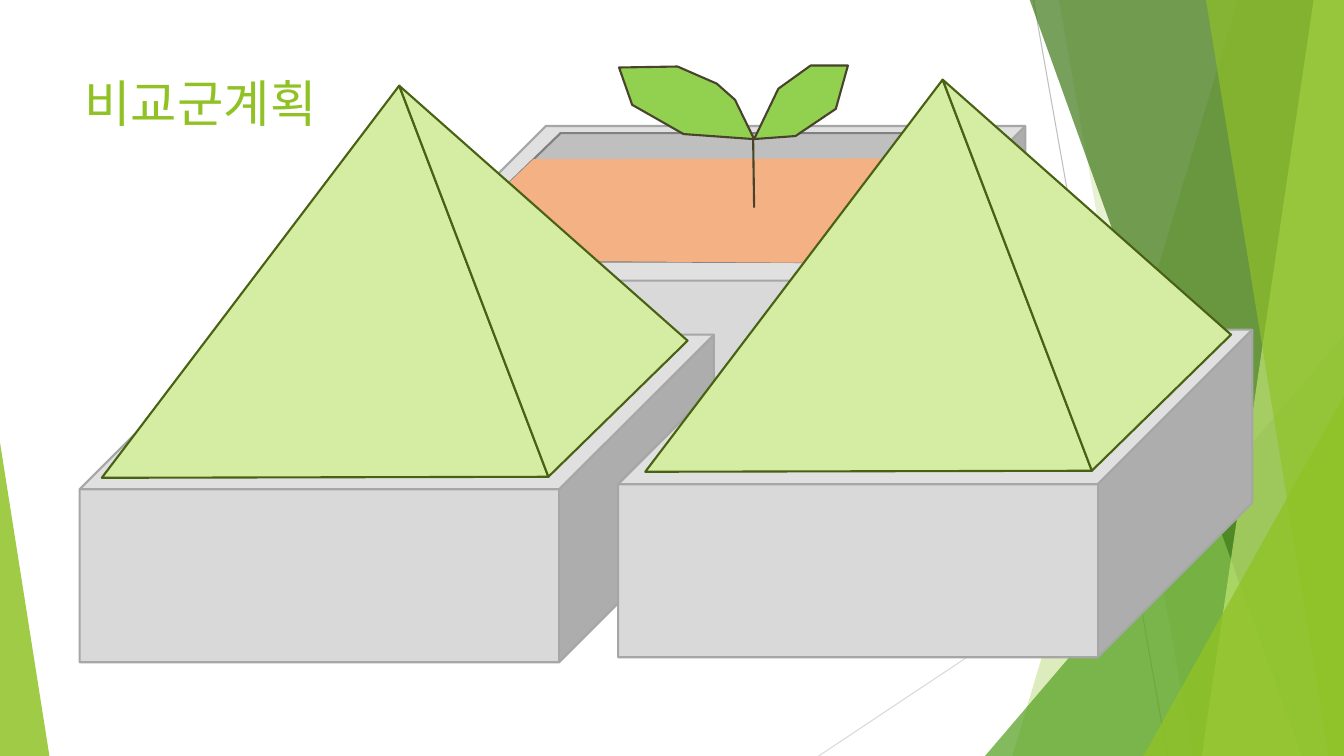
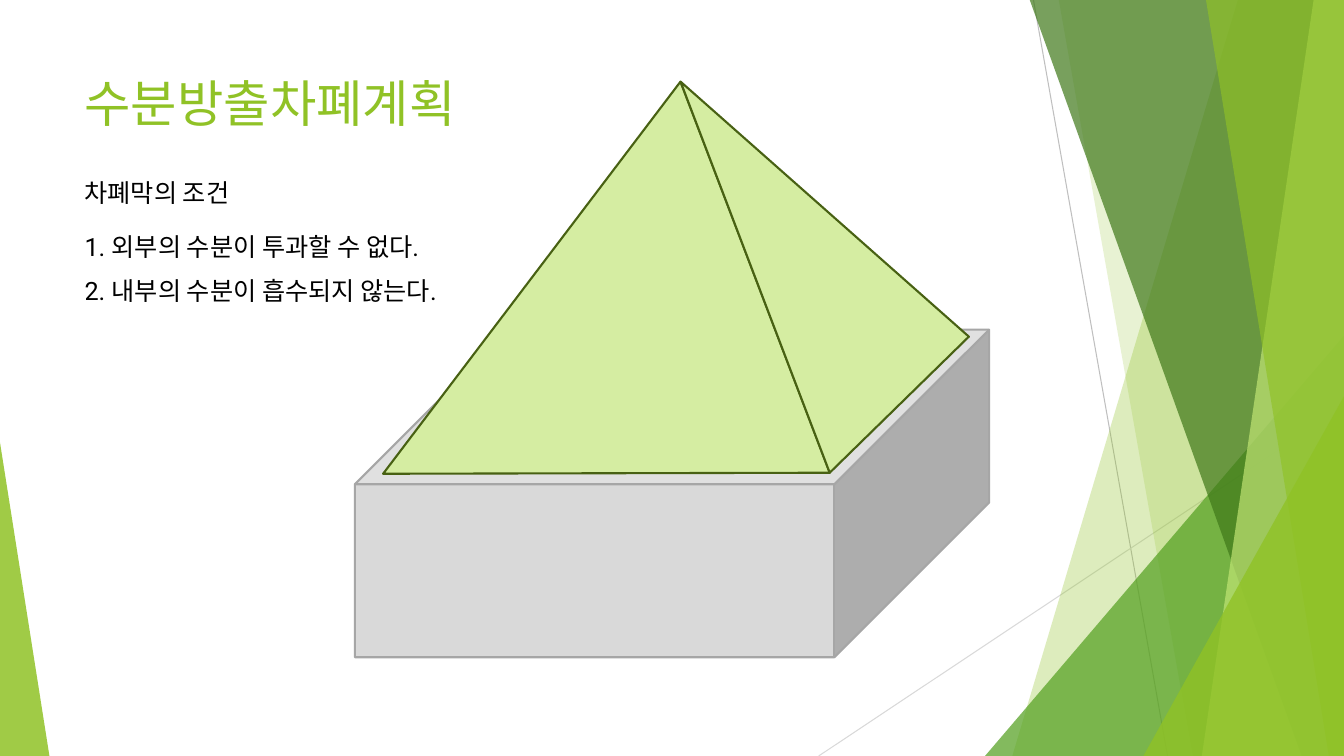
from lxml import etree
from pptx import Presentation
from pptx import util as u
from pptx.dml.color import RGBColor
from pptx.enum import shapes, text
from pptx.oxml.ns import qn

PX = 9144  # EMU in one px, 100 px to the inch
WIDTH, HEIGHT = 1333, 750
FONT = "Roboto"

GREEN = RGBColor(0x90, 0xC2, 0x26)
MID_GREEN = RGBColor(0x54, 0xA0, 0x21)
DARK_GREEN = RGBColor(0x3F, 0x78, 0x19)
PALE_GREEN = RGBColor(0xC0, 0xE4, 0x74)
LEAF = RGBColor(0x92, 0xD0, 0x50)
LEAF_EDGE = RGBColor(0x48, 0x43, 0x2A)
COVER = RGBColor(0xD5, 0xED, 0xA2)
COVER_EDGE = RGBColor(0x48, 0x61, 0x13)
SOIL = RGBColor(0xF4, 0xB1, 0x83)
BOX = RGBColor(0xD9, 0xD9, 0xD9)
BOX_EDGE = RGBColor(0xA6, 0xA6, 0xA6)
HOLLOW = RGBColor(0xBF, 0xBF, 0xBF)
HOLLOW_EDGE = RGBColor(0x80, 0x80, 0x80)
BLACK = RGBColor(0, 0, 0)


def px(*lengths):
    return [u.Emu(n * PX) for n in lengths]


def paint(sp, fill, edge=None, opacity=100):
    sp.shadow.inherit = False
    sp.fill.solid()
    sp.fill.fore_color.rgb = fill
    if opacity < 100:
        clr = sp.fill._xPr.find(qn("a:solidFill"))[0]
        etree.SubElement(clr, qn("a:alpha"), val=str(opacity * 1000))
    if edge is None:
        sp.line.fill.background()
    else:
        sp.line.color.rgb = edge
        sp.line.width = u.Pt(1.5)


def add_outline(s, points, fill, edge=None, opacity=100, close=True):
    builder = s.shapes.build_freeform(*points[0], scale=PX)
    builder.add_line_segments(points[1:], close=close)
    paint(builder.convert_to_shape(), fill, edge, opacity)


def add_preset(s, kind, box, adjust, fill, edge=None, opacity=100):
    sp = s.shapes.add_shape(kind, *px(*box))
    sp.adjustments[0] = adjust
    paint(sp, fill, edge, opacity)


def add_triangle(s, box, apex, fill, opacity):
    """Draw a triangle whose apex sits at the given share of its width."""
    add_preset(s, shapes.MSO_SHAPE.ISOSCELES_TRIANGLE, box, apex, fill,
               opacity=opacity)


def add_band(s, top, bottom, fill, opacity):
    """Fill from a slanted edge, given by its two x values, to the right."""
    add_outline(s, [(top, -1), (WIDTH, -1), (WIDTH, HEIGHT), (bottom, HEIGHT)],
                fill, opacity=opacity)


def add_hairline(s, ends, color):
    cx = s.shapes.add_connector(shapes.MSO_CONNECTOR.STRAIGHT, *px(*ends))
    cx.line.color.rgb = color
    cx.line.width = u.Pt(0.75)
    etree.SubElement(cx._element.spPr, qn("a:effectLst"))


def add_text(s, words, box, size, color):
    tf = s.shapes.add_textbox(*px(*box)).text_frame
    tf.word_wrap = True
    tf.vertical_anchor = text.MSO_ANCHOR.TOP
    r = tf.paragraphs[0].add_run()
    r.text = words
    r.font.name = FONT
    r.font.size = u.Pt(size)
    r.font.color.rgb = color


def add_backdrop(s):
    add_hairline(s, (1025, 0, 1158, HEIGHT), HOLLOW)
    add_hairline(s, (WIDTH, 403, 812, HEIGHT), BOX)
    add_band(s, 1228, 1004, GREEN, 30)
    add_band(s, 1050, 1183, GREEN, 20)
    add_triangle(s, (977, 333, 356, 417), 1, MID_GREEN, 72)
    add_band(s, 1021, 1291, DARK_GREEN, 70)
    add_band(s, 1303, 1192, PALE_GREEN, 70)
    add_band(s, 1196, 1318, GREEN, 65)
    add_triangle(s, (1134, 393, 199, 357), 1, GREEN, 80)
    add_triangle(s, (0, 439, 49, 311), 0, GREEN, 85)


def add_slide(prs, title):
    s = prs.slides.add_slide(prs.slide_layouts[6])
    add_backdrop(s)
    add_text(s, title, (74, 67, 940, 144), 36, GREEN)
    return s


def add_planter(s, left, top):
    add_preset(s, shapes.MSO_SHAPE.CUBE, (left, top, 629, 325), 0.472,
               BOX, BOX_EDGE)


def add_soil(s):
    add_outline(s, [(556, 132), (984, 132), (840, 260), (425, 259)],
                HOLLOW, HOLLOW_EDGE)
    add_outline(s, [(425, 258), (842, 261), (954, 157), (529, 158)], SOIL)


def add_sprout(s):
    """Draw the stem and both leaves as one open outline."""
    stem = [(748, 206), (747, 138)]
    left_leaf = [(678, 133), (627, 104), (614, 67), (672, 66), (711, 83),
                 (729, 99), (748, 138)]
    right_leaf = [(772, 88), (804, 65), (841, 65), (829, 108), (789, 135),
                  (748, 138)]
    add_outline(s, stem + left_leaf + right_leaf, LEAF, LEAF_EDGE, close=False)


def add_cover(s, x, y):
    """Draw the two visible faces of a pyramid with its apex at x, y."""
    apex, corner = (x, y), (x + 148, y + 388)
    for base in ((x - 295, y + 389), (x + 286, y + 253)):
        add_outline(s, [apex, corner, base], COVER, COVER_EDGE)


def build_comparison(prs):
    s = add_slide(prs, "비교군계획")
    add_planter(s, 388, 125)
    add_soil(s)
    add_planter(s, 79, 332)
    add_planter(s, 613, 327)
    add_sprout(s)
    add_cover(s, 396, 85)
    add_cover(s, 935, 79)


def build_barrier(prs):
    s = add_slide(prs, "수분방출차폐계획")
    add_planter(s, 352, 327)
    add_cover(s, 675, 81)
    for words, top in (("차폐막의 조건", 171),
                       ("1. 외부의 수분이 투과할 수 없다.", 225),
                       ("2. 내부의 수분이 흡수되지 않는다.", 268)):
        add_text(s, words, (74, top, 415, 40), 18, BLACK)


def main():
    prs = Presentation()
    prs.slide_width, prs.slide_height = px(WIDTH, HEIGHT)
    build_comparison(prs)
    build_barrier(prs)
    prs.save("out.pptx")


if __name__ == "__main__":
    main()
